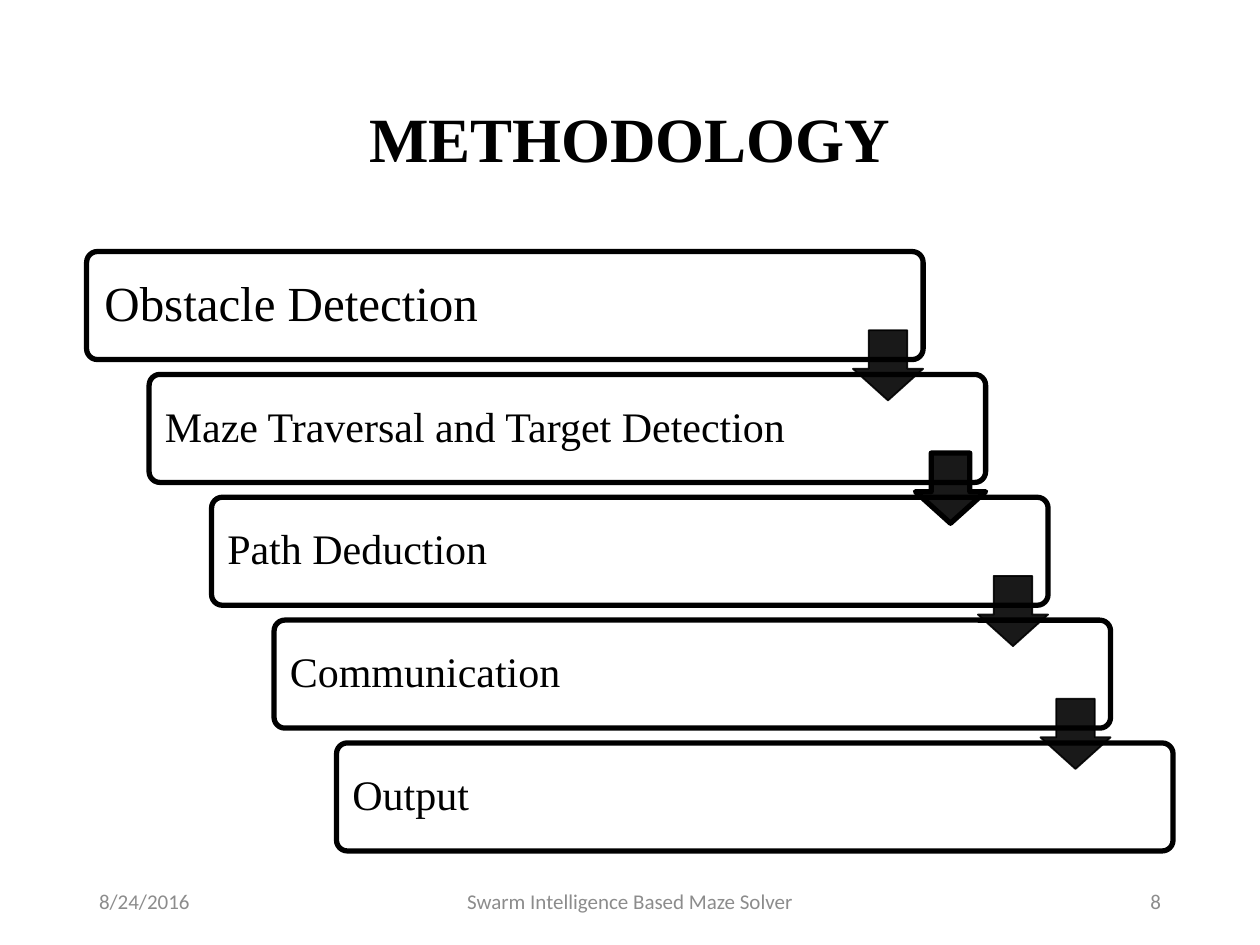
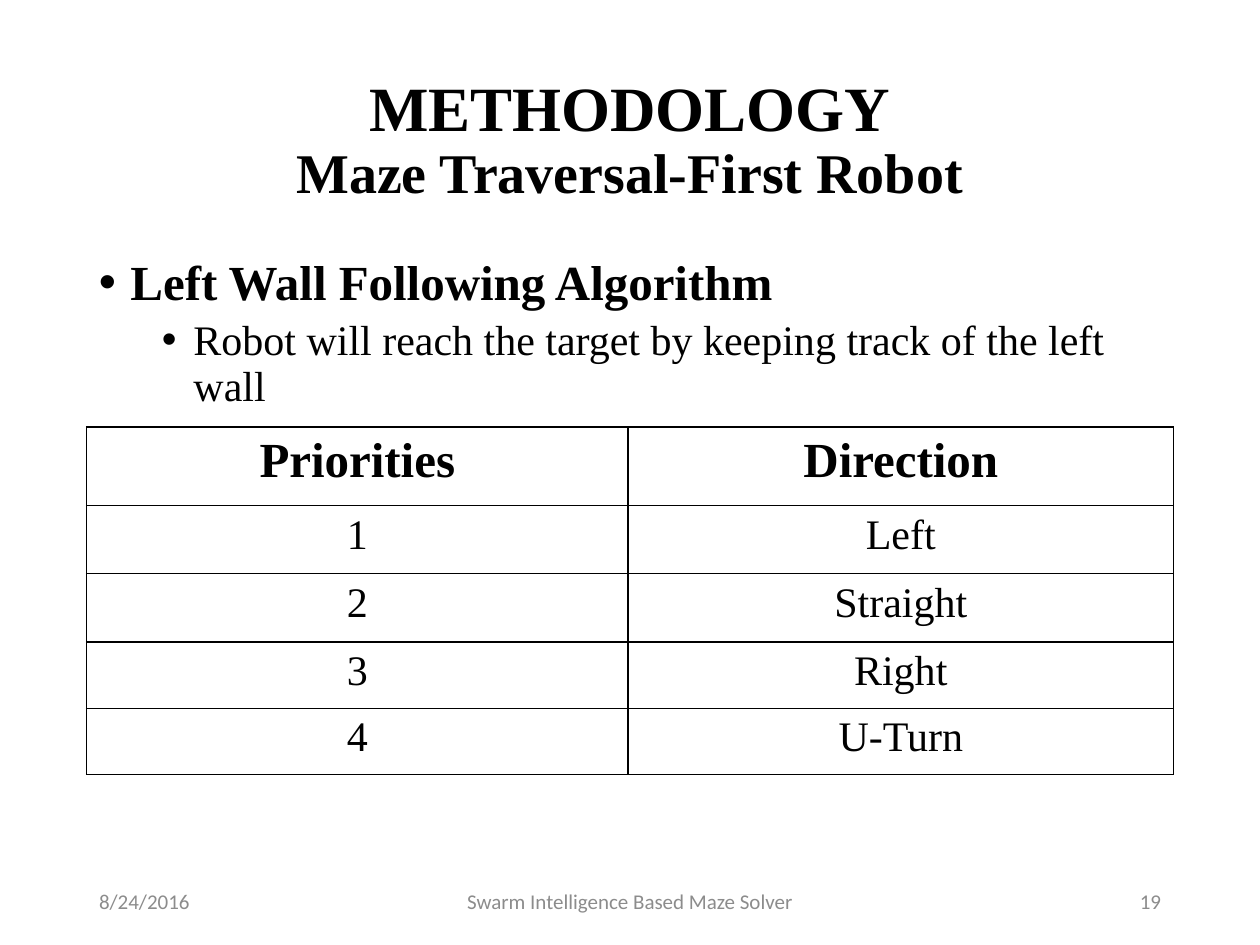
"""Build two methodology slides: a staircase of steps and a priority table."""
from pptx import Presentation
from pptx.dml.color import RGBColor
from pptx.enum.shapes import MSO_SHAPE as Kind
from pptx.enum.text import MSO_ANCHOR as Anchor, PP_ALIGN as Align
from pptx.oxml import parse_xml
from pptx.oxml.ns import nsdecls, qn
from pptx.util import Pt

BLACK, WHITE, GRAY = "000000", "FFFFFF", "8C8C8C"
SERIF, SANS = "Times New Roman", "Calibri"
LEFT, WIDTH, TOP = 49.5, 621, 143.75
HEAD = ("METHODOLOGY", 36)
DATE, NAME = "8/24/2016", "Swarm Intelligence Based Maze Solver"
STEPS = [
    ("Obstacle Detection", 28),
    ("Maze Traversal and Target Detection", 24),
    ("Path Deduction", 24),
    ("Communication", 24),
    ("Output", 24),
]
ARROWS = [(1, 90), (3, 100), (1, 90), (1, 90)]
POINTS = [
    ("Left Wall Following Algorithm", 28, True, 18, 10),
    ("Robot will reach the target by keeping track of the left wall", 24, False, 54, 5),
]
ROWS = [
    ("Priorities", "Direction"),
    ("1", "Left"),
    ("2", "Straight"),
    ("3", "Right"),
    ("4", "U-Turn"),
]
COLS = (309.5, 311.5)
HEIGHTS = (44.8, 39, 39, 38, 38)


def rgb(code):
    return RGBColor.from_string(code)


def style(font, size, bold=False, face=SERIF, color=BLACK):
    font.size, font.bold, font.name = Pt(size), bold, face
    font.color.rgb = rgb(color)


def add_box(slide, left, top, width, height, anchor=Anchor.MIDDLE):
    box = slide.shapes.add_textbox(Pt(left), Pt(top), Pt(width), Pt(height))
    frame = box.text_frame
    frame.word_wrap, frame.vertical_anchor = True, anchor
    return frame


def add_shape(slide, kind, place, fill, line, adjust):
    shape = slide.shapes.add_shape(kind, *map(Pt, place))
    shape.shadow.inherit = False
    shape.fill.solid()
    shape.fill.fore_color.rgb = rgb(fill)
    shape.line.color.rgb, shape.line.width = rgb(BLACK), Pt(line)
    for i, part in enumerate(adjust):
        shape.adjustments[i] = part
    return shape


def fade(fill, percent):
    for color in fill.iter(qn("a:srgbClr")):
        color.append(parse_xml(f'<a:alpha {nsdecls("a")} val="{percent * 1000}"/>'))


def add_frame(deck, lines, page):
    slide = deck.slides.add_slide(deck.slide_layouts[6])
    para = add_box(slide, LEFT, 28.75, WIDTH, 104.4).paragraphs[0]
    para.alignment, para.line_spacing = Align.CENTER, 0.9
    for i, (text, size) in enumerate(lines):
        if i:
            para.add_line_break()
        run = para.add_run()
        run.text = text
        style(run.font, size, True)
    for text, left, width, align in (
        (DATE, LEFT, 162, Align.LEFT),
        (NAME, 238.5, 243, Align.CENTER),
        (page, 508.5, 162, Align.RIGHT),
    ):
        para = add_box(slide, left, 500.5, width, 28.75).paragraphs[0]
        para.text, para.alignment = text, align
        style(para.font, 12, face=SANS, color=GRAY)
    return slide


def add_steps(slide):
    dx, dy = 35.7, 70.2
    for i, (text, size) in enumerate(STEPS):
        place = (LEFT + i * dx, TOP + i * dy, 478, 61.7)
        shape = add_shape(slide, Kind.ROUNDED_RECTANGLE, place, WHITE, 3, [0.1])
        frame = shape.text_frame
        frame.word_wrap, frame.vertical_anchor = True, Anchor.MIDDLE
        frame.margin_left = Pt(size * 0.3)
        para = frame.paragraphs[0]
        para.text, para.alignment, para.line_spacing = text, Align.LEFT, 0.9
        style(para.font, size)
    for i, (line, solid) in enumerate(ARROWS):
        place = (487.4 + i * dx, 188.7 + i * dy, 40.1, 40.1)
        shape = add_shape(slide, Kind.DOWN_ARROW, place, BLACK, line, [0.55, 0.45])
        props = shape._element.spPr
        fade(props.find(qn("a:solidFill")), 90)
        if solid < 100:
            fade(props.find(qn("a:ln")), solid)


def add_points(slide):
    frame = add_box(slide, LEFT, TOP, WIDTH, 342.6, Anchor.TOP)
    for i, (text, size, bold, indent, space) in enumerate(POINTS):
        para = frame.add_paragraph() if i else frame.paragraphs[0]
        para.text, para.level = text, i
        para.line_spacing, para.space_before = 0.9, Pt(space)
        style(para.font, size, bold)
        props = para._p.get_or_add_pPr()
        props.set("marL", str(Pt(indent)))
        props.set("indent", str(Pt(-18)))
        props.append(parse_xml(f'<a:buFont {nsdecls("a")} typeface="Arial"/>'))
        props.append(parse_xml(f'<a:buChar {nsdecls("a")} char="•"/>'))


def add_grid(slide):
    place = map(Pt, (LEFT, 244, WIDTH, sum(HEIGHTS)))
    table = slide.shapes.add_table(len(ROWS), len(COLS), *place).table
    table.first_row = table.horz_banding = False
    for col, width in zip(table.columns, COLS):
        col.width = Pt(width)
    for r, (row, height) in enumerate(zip(ROWS, HEIGHTS)):
        table.rows[r].height = Pt(height)
        for c, text in enumerate(row):
            cell = table.cell(r, c)
            para = cell.text_frame.paragraphs[0]
            para.text, para.alignment = text, Align.CENTER
            style(para.font, 24 if r else 28, not r)
            props = cell._tc.get_or_add_tcPr()
            for side in "LRTB":
                props.append(parse_xml(
                    f'<a:ln{side} {nsdecls("a")} w="{Pt(1)}"><a:solidFill>'
                    f'<a:srgbClr val="{BLACK}"/></a:solidFill></a:ln{side}>'))
            cell.fill.solid()
            cell.fill.fore_color.rgb = rgb(WHITE)


def main():
    deck = Presentation()
    deck.slide_width, deck.slide_height = Pt(720), Pt(540)
    add_steps(add_frame(deck, [HEAD], "8"))
    slide = add_frame(deck, [HEAD, ("Maze Traversal-First Robot", 32)], "19")
    add_points(slide)
    add_grid(slide)
    deck.save("out.pptx")


if __name__ == "__main__":
    main()
